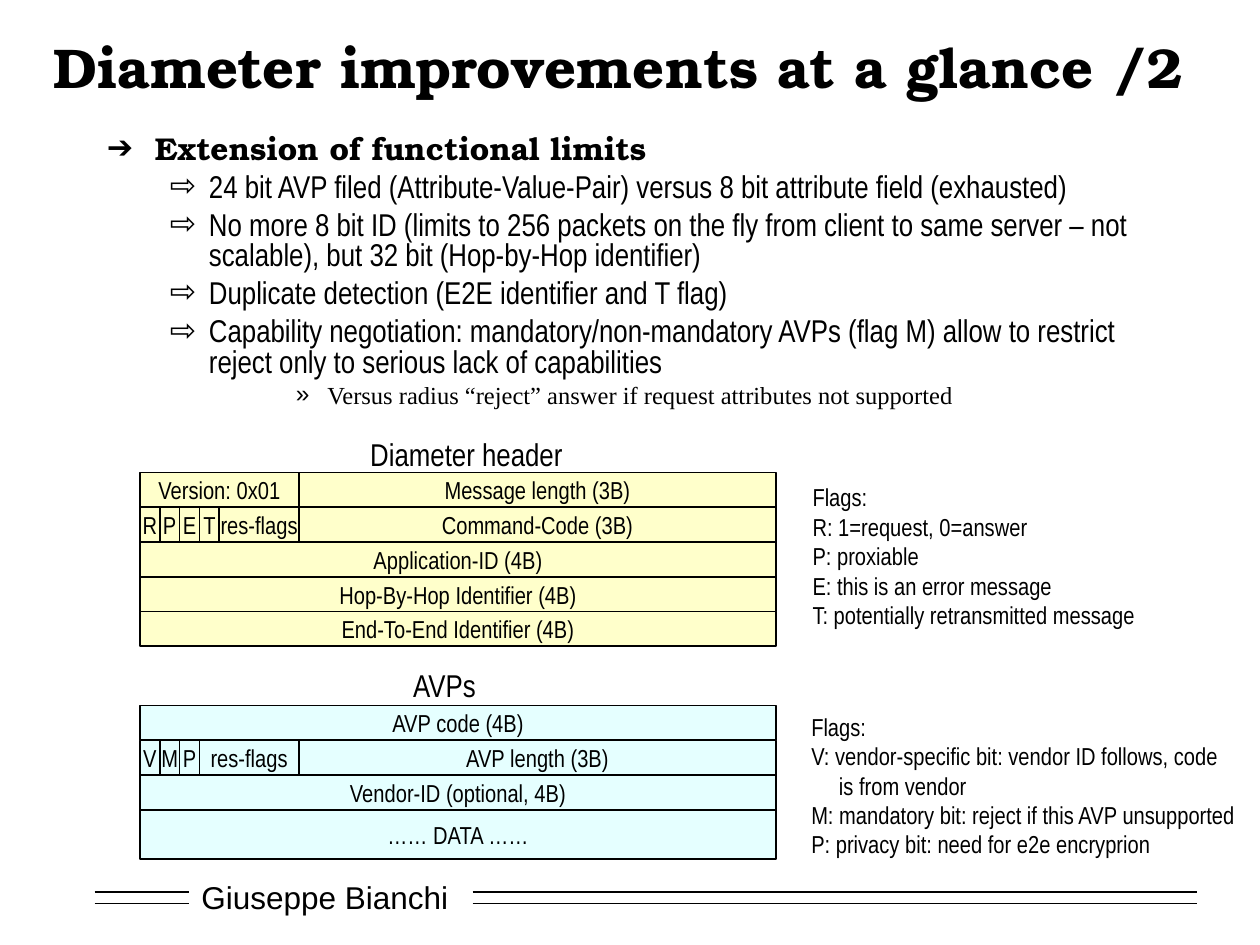
from pptx import Presentation
from pptx.dml.color import RGBColor
from pptx.enum.shapes import MSO_CONNECTOR, MSO_SHAPE
from pptx.enum.text import MSO_ANCHOR, MSO_AUTO_SIZE, PP_ALIGN
from pptx.oxml.ns import qn
from pptx.util import Inches, Pt
from lxml import etree

RECT, STRAIGHT = MSO_SHAPE.RECTANGLE, MSO_CONNECTOR.STRAIGHT
MIDDLE, TOP = MSO_ANCHOR.MIDDLE, MSO_ANCHOR.TOP
CENTER, LEFT = PP_ALIGN.CENTER, PP_ALIGN.LEFT
FIT_SHAPE = MSO_AUTO_SIZE.SHAPE_TO_FIT_TEXT

SERIF, NARROW, SANS, TIMES = "TeX Gyre Bonum", "Arial Narrow", "Arial", "Times New Roman"
BLACK, WHITE, YELLOW, CYAN = "000000", "FFFFFF", "FFFF99", "CCFFFF"

# Packet layouts: one row is a 32-bit word
PACKET_LEFT, BIT, ROW_H = 1.11, 5.05 / 32, 0.276

HEADER_ROWS = [
    [("Version: 0x01", 8), ("Message length (3B)", 24)],
    [("R", 1), ("P", 1), ("E", 1), ("T", 1), ("res-flags", 4), ("Command-Code (3B)", 24)],
    [("Application-ID (4B)", 32)],
    [("Hop-By-Hop Identifier (4B)", 32)],
    [("End-To-End Identifier (4B)", 32)],
]
AVP_ROWS = [
    [("AVP code (4B)", 32)],
    [("V", 1), ("M", 1), ("P", 1), ("res-flags", 5), ("AVP length (3B)", 24)],
    [("Vendor-ID (optional, 4B)", 32)],
    [("…… DATA ……", 32)],
]

# Flag legends: text and left indent of each line
HEADER_FLAGS = [
    ("Flags:", 0),
    ("R: 1=request, 0=answer", 0),
    ("P: proxiable", 0),
    ("E: this is an error message", 0),
    ("T: potentially retransmitted message", 0),
]
AVP_FLAGS = [
    ("Flags:", 0),
    ("V: vendor-specific bit: vendor ID follows, code", 0),
    ("is from vendor", 0.22),
    ("M: mandatory bit: reject if this AVP unsupported", 0),
    ("P: privacy bit: need for e2e encryprion", 0),
]

# Bullet styles: char, left margin, hanging indent, space before, font, size, bold
HEAD = ("➔", 0.38, 0.38, 0, SERIF, 18, True)
ITEM = ("⇨", 0.81, 0.31, 4.5, NARROW, 18, False)
NOTE = ("»", 1.75, 0.25, 3.5, TIMES, 14, False)
BODY = [
    (HEAD, "Extension of functional limits"),
    (ITEM, "24 bit AVP filed (Attribute-Value-Pair) versus 8 bit attribute field (exhausted)"),
    (ITEM, "No more 8 bit ID (limits to 256 packets on the fly from client to same server "
           "– not scalable), but 32 bit (Hop-by-Hop identifier)"),
    (ITEM, "Duplicate detection (E2E identifier and T flag)"),
    (ITEM, "Capability negotiation: mandatory/non-mandatory AVPs (flag M) allow to restrict "
           "reject only to serious lack of capabilities"),
    (NOTE, "Versus radius “reject” answer if request attributes not supported"),
]


def rgb(color):
    return RGBColor.from_string(color)


def add_run(p, text, size, font, bold=False):
    r = p.add_run()
    r.text = text
    r.font.size, r.font.name, r.font.bold = Pt(size), font, bold
    r.font.color.rgb = rgb(BLACK)


def set_indent(p, left, hanging=0):
    pPr = p._p.get_or_add_pPr()
    pPr.set("marL", str(Inches(left)))
    pPr.set("indent", str(-Inches(hanging)))
    return pPr


def add_text(s, x, y, w, h, lines, size, font, bold=False, align=LEFT, anchor=TOP, wrap=False):
    tf = s.shapes.add_textbox(Inches(x), Inches(y), Inches(w), Inches(h)).text_frame
    tf.word_wrap, tf.vertical_anchor = wrap, anchor
    if not wrap:
        tf.auto_size = FIT_SHAPE
    for i, (text, left) in enumerate(lines):
        p = tf.add_paragraph() if i else tf.paragraphs[0]
        p.alignment = align
        if left:
            set_indent(p, left)
        add_run(p, text, size, font, bold)


def add_bullets(s, x, y, w, h, items):
    tf = s.shapes.add_textbox(Inches(x), Inches(y), Inches(w), Inches(h)).text_frame
    tf.word_wrap = True
    for i, (style, text) in enumerate(items):
        char, left, hanging, before, font, size, bold = style
        p = tf.add_paragraph() if i else tf.paragraphs[0]
        pPr = set_indent(p, left, hanging)
        color = etree.SubElement(pPr, qn("a:buClr"))
        etree.SubElement(color, qn("a:srgbClr"), val=BLACK)
        etree.SubElement(pPr, qn("a:buFont"), typeface=SANS)
        etree.SubElement(pPr, qn("a:buChar"), char=char)
        p.line_spacing, p.space_before = 0.8, Pt(before)
        add_run(p, text, size, font, bold)


def add_field(s, x, y, w, h, text, color):
    sp = s.shapes.add_shape(RECT, Inches(x), Inches(y), Inches(w), Inches(h))
    sp.shadow.inherit = False
    sp.fill.solid()
    sp.fill.fore_color.rgb = rgb(color)
    fill = sp.element.spPr.find(qn("a:solidFill"))
    etree.SubElement(fill[0], qn("a:alpha"), val="50000")
    sp.line.color.rgb, sp.line.width = rgb(BLACK), Pt(1)
    tf = sp.text_frame
    tf.word_wrap, tf.vertical_anchor = False, MIDDLE
    p = tf.paragraphs[0]
    p.alignment = CENTER
    add_run(p, text, 14, NARROW)


def add_packet(s, top, rows, color, last_h=ROW_H):
    for i, row in enumerate(rows):
        h = last_h if i == len(rows) - 1 else ROW_H
        bit = 0
        for text, bits in row:
            add_field(s, PACKET_LEFT + bit * BIT, top + i * ROW_H, bits * BIT, h, text, color)
            bit += bits


def add_rule(s, x1, x2, y):
    line = s.shapes.add_connector(STRAIGHT, Inches(x1), Inches(y), Inches(x2), Inches(y))
    line.line.color.rgb, line.line.width = rgb(BLACK), Pt(1)
    etree.SubElement(line.element.spPr, qn("a:effectLst"))


def main():
    prs = Presentation()
    prs.slide_width, prs.slide_height = Inches(10), Inches(7.5)
    s = prs.slides.add_slide(prs.slide_layouts[6])
    s.background.fill.solid()
    s.background.fill.fore_color.rgb = rgb(WHITE)

    # Footer: author between double rules
    add_text(s, 1.5, 6.92, 2.17, 0.4, [("Giuseppe Bianchi", 0)], 18, SANS,
             anchor=MIDDLE, wrap=True)
    for y in (7.08, 7.17):
        add_rule(s, 0.75, 1.5, y)
        add_rule(s, 3.75, 9.5, y)

    # Title and bullets
    add_text(s, 0.31, 0.17, 9.21, 0.71, [("Diameter improvements at a glance /2", 0)], 32, SERIF,
             bold=True, align=CENTER, anchor=MIDDLE, wrap=True)
    add_bullets(s, 0.75, 1.03, 8.35, 2.6, BODY)

    # Diameter header
    add_text(s, 2.84, 3.4, 1.74, 0.4, [("Diameter header", 0)], 18, NARROW)
    add_packet(s, 3.75, HEADER_ROWS, YELLOW)
    add_text(s, 6.35, 3.78, 2.82, 1.27, HEADER_FLAGS, 14, NARROW)

    # AVPs
    add_text(s, 3.18, 5.24, 0.71, 0.4, [("AVPs", 0)], 18, NARROW)
    add_packet(s, 5.6, AVP_ROWS, CYAN, last_h=0.39)
    add_text(s, 6.34, 5.6, 3.58, 1.27, AVP_FLAGS, 14, NARROW)

    prs.save("out.pptx")


if __name__ == "__main__":
    main()
